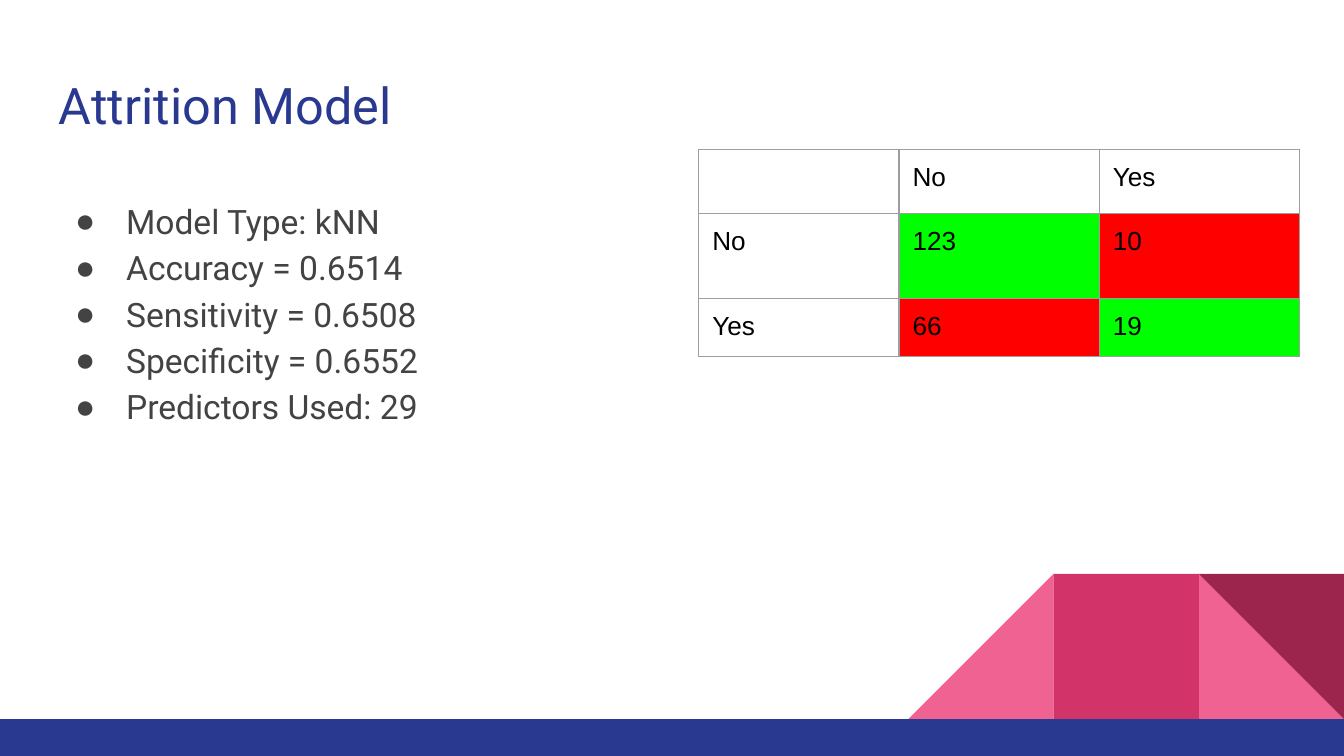
from dataclasses import dataclass

from lxml.etree import SubElement
from pptx import Presentation
from pptx.dml.color import RGBColor
from pptx.enum.shapes import MSO_SHAPE
from pptx.oxml.ns import qn
from pptx.slide import Slide
from pptx.table import _Cell
from pptx.text.text import TextFrame, _Paragraph
from pptx.util import Inches, Pt


@dataclass(frozen=True)
class Theme:
    blue: str = "2A3990"
    pink: str = "F06292"
    rose: str = "D23369"
    wine: str = "9C254D"
    body: str = "434343"
    black: str = "000000"
    border: str = "9E9E9E"
    right: str = "00FF00"
    wrong: str = "FF0000"
    font: str = "Roboto"
    table_font: str = "Arial"
    bullet_font: str = "Arial"
    title_size: int = 27
    body_size: int = 18
    table_size: int = 14
    border_width: float = 0.75


@dataclass(frozen=True)
class Block:
    shape: MSO_SHAPE
    x: float
    y: float
    w: float
    h: float
    color: str
    rotation: int = 0
    flipped: bool = False


THEME = Theme()
WIDTH = 10
HEIGHT = WIDTH * 9 / 16
SIDE = 1.08
BAR_TOP = 5.35
INSET = 0.1
TOP = BAR_TOP - SIDE

BLOCKS = [
    Block(MSO_SHAPE.RIGHT_TRIANGLE, WIDTH - SIDE, TOP, SIDE, SIDE, THEME.pink),
    Block(MSO_SHAPE.RIGHT_TRIANGLE, WIDTH - 3 * SIDE, TOP, SIDE, SIDE, THEME.pink, flipped=True),
    Block(MSO_SHAPE.RECTANGLE, WIDTH - 2 * SIDE, TOP, SIDE, SIDE, THEME.rose),
    Block(MSO_SHAPE.RIGHT_TRIANGLE, WIDTH - SIDE, TOP, SIDE, SIDE, THEME.wine, rotation=180),
    Block(MSO_SHAPE.RECTANGLE, 0, BAR_TOP, WIDTH, HEIGHT - BAR_TOP, THEME.blue),
]
RESULTS = [
    "Model Type: kNN",
    "Accuracy = 0.6514",
    "Sensitivity = 0.6508",
    "Specificity = 0.6552",
    "Predictors Used: 29",
]
MATRIX = [["", "No", "Yes"], ["No", "123", "10"], ["Yes", "66", "19"]]
COLUMN_WIDTH = 1.49
ROW_HEIGHTS = [0.48, 0.63, 0.43]


def draw_block(s: Slide, block: Block) -> None:
    sp = s.shapes.add_shape(
        block.shape, Inches(block.x), Inches(block.y), Inches(block.w), Inches(block.h)
    )
    sp.shadow.inherit = False
    sp.fill.solid()
    sp.fill.fore_color.rgb = RGBColor.from_string(block.color)
    sp.line.fill.background()
    sp.rotation = block.rotation
    if block.flipped:
        sp._element.spPr.find(qn("a:xfrm")).set("flipH", "1")


def add_run(p: _Paragraph, text: str, size: int, font: str, color: str) -> None:
    r = p.add_run()
    r.text = text
    r.font.size = Pt(size)
    r.font.name = font
    r.font.color.rgb = RGBColor.from_string(color)


def set_insets(box: TextFrame | _Cell) -> None:
    box.margin_left = box.margin_right = Inches(INSET)
    box.margin_top = box.margin_bottom = Inches(INSET)


def add_text_box(s: Slide, x: float, y: float, w: float, h: float) -> TextFrame:
    tf = s.shapes.add_textbox(Inches(x), Inches(y), Inches(w), Inches(h)).text_frame
    tf.word_wrap = True
    set_insets(tf)
    return tf


def add_bullet(p: _Paragraph) -> None:
    p.line_spacing = 1.15
    pPr = p._p.get_or_add_pPr()
    pPr.set("marL", str(Inches(0.5)))
    pPr.set("indent", str(Inches(-0.38)))
    color = SubElement(pPr, qn("a:buClr"))
    SubElement(color, qn("a:srgbClr"), val=THEME.body)
    SubElement(pPr, qn("a:buFont"), typeface=THEME.bullet_font)
    SubElement(pPr, qn("a:buChar"), char="●")


def set_borders(cell: _Cell) -> None:
    tcPr = cell._tc.get_or_add_tcPr()
    for i, side in enumerate(("lnL", "lnR", "lnT", "lnB")):
        ln = SubElement(tcPr, qn(f"a:{side}"), w=str(Pt(THEME.border_width)))
        fill = SubElement(ln, qn("a:solidFill"))
        SubElement(fill, qn("a:srgbClr"), val=THEME.border)
        tcPr.insert(i, ln)


def draw_matrix(s: Slide, x: float, y: float) -> None:
    size = len(MATRIX)
    table = s.shapes.add_table(
        size, size, Inches(x), Inches(y),
        Inches(COLUMN_WIDTH * size), Inches(sum(ROW_HEIGHTS)),
    ).table
    table.first_row = table.horz_banding = False
    for column in table.columns:
        column.width = Inches(COLUMN_WIDTH)
    for i, (height, values) in enumerate(zip(ROW_HEIGHTS, MATRIX)):
        table.rows[i].height = Inches(height)
        for j, value in enumerate(values):
            cell = table.cell(i, j)
            set_insets(cell)
            if i and j:
                cell.fill.solid()
                color = THEME.right if i == j else THEME.wrong
                cell.fill.fore_color.rgb = RGBColor.from_string(color)
            else:
                cell.fill.background()
            set_borders(cell)
            p = cell.text_frame.paragraphs[0]
            if value:
                add_run(p, value, THEME.table_size, THEME.table_font, THEME.black)
            else:
                SubElement(p._p, qn("a:endParaRPr"), sz=str(THEME.table_size * 100))


def main() -> None:
    prs = Presentation()
    prs.slide_width, prs.slide_height = Inches(WIDTH), Inches(HEIGHT)
    s = prs.slides.add_slide(prs.slide_layouts[6])
    for block in BLOCKS:
        draw_block(s, block)

    title = add_text_box(s, 0.34, 0.45, 9.32, 0.66)
    add_run(title.paragraphs[0], "Attrition Model", THEME.title_size, THEME.font, THEME.blue)

    body = add_text_box(s, 0.34, 1.35, 4.66, 3.65)
    for i, result in enumerate(RESULTS):
        p = body.add_paragraph() if i else body.paragraphs[0]
        add_bullet(p)
        add_run(p, result, THEME.body_size, THEME.font, THEME.body)

    draw_matrix(s, 5.2, 1.11)
    prs.save("out.pptx")


if __name__ == "__main__":
    main()
